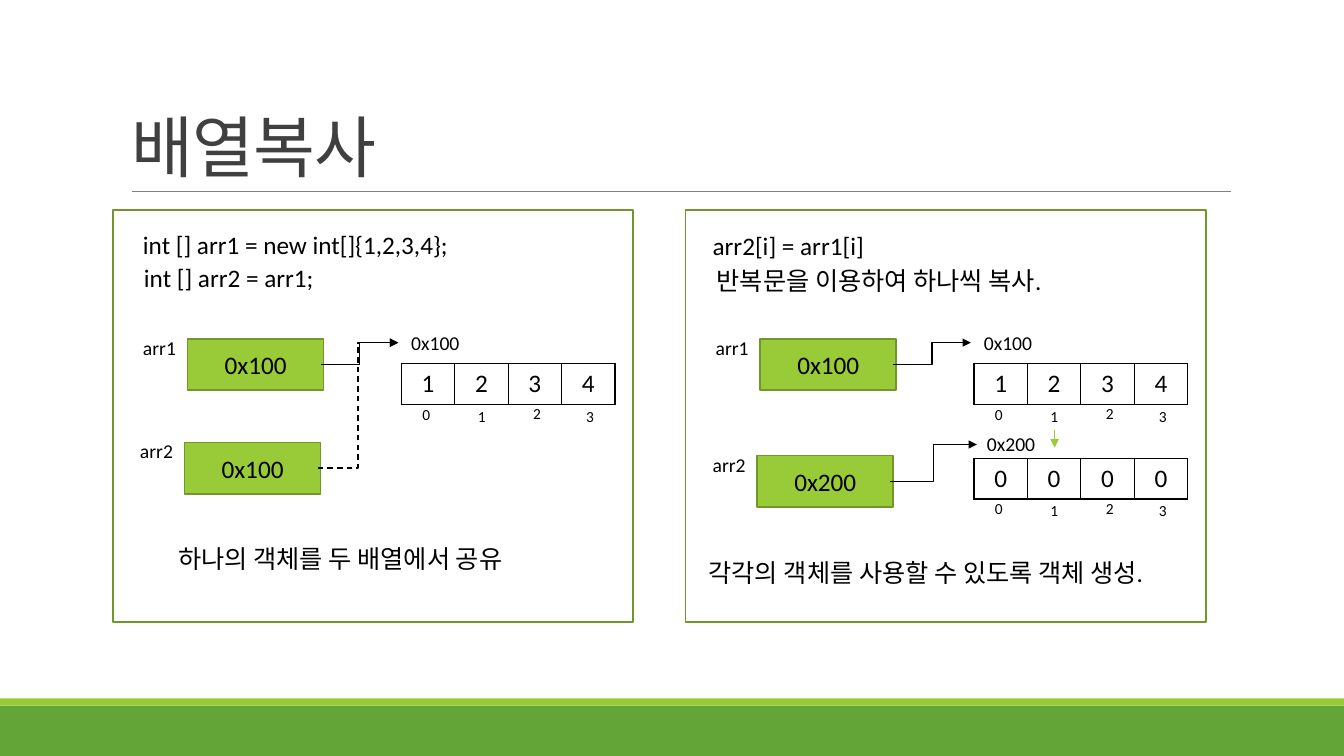
from lxml import etree
from pptx import Presentation
from pptx import util as u
from pptx.dml.color import RGBColor
from pptx.enum import dml, shapes, text
from pptx.oxml import ns

COLORS = {"band": "63A537", "lime": "99CB38", "edge": "719629",
          "rule": "808080", "title": "404040", "ink": "000000"}
FONT = "Calibri"
COLUMNS, ROWS = 133.3, 75
PANEL_STEP = 56.8
CELL_WIDTH, CELL_HEIGHT = 5.3, 4

presentation = Presentation()
presentation.slide_width, presentation.slide_height = u.Inches(13.33), u.Inches(7.5)
column = presentation.slide_width / COLUMNS
row = presentation.slide_height / ROWS
slide = presentation.slides.add_slide(presentation.slide_layouts[5])


def add_box(left, top, width, height, words="", size=18, fill=None, edge=None, wrap=True):
    """Add a rectangle if it has a fill or an edge, otherwise a text box."""
    place = [round(left * column), round(top * row), round(width * column), round(height * row)]
    if fill or edge:
        shape = slide.shapes.add_shape(shapes.MSO_SHAPE.RECTANGLE, *place)
        shape.shadow.inherit = False
        for part, color in ((shape.fill, fill), (shape.line.fill, edge)):
            if color:
                part.solid()
                part.fore_color.rgb = RGBColor.from_string(COLORS[color])
            else:
                part.background()
        if edge:
            shape.line.width = u.Pt(1.25)
    else:
        shape = slide.shapes.add_textbox(*place)
        shape.text_frame.auto_size = text.MSO_AUTO_SIZE.SHAPE_TO_FIT_TEXT
    shape.text_frame.word_wrap = wrap
    if words:
        paragraph = shape.text_frame.paragraphs[0]
        paragraph.text = words
        for name, value in {"name": FONT, "size": u.Pt(size)}.items():
            setattr(paragraph.font, name, value)
        paragraph.font.color.rgb = RGBColor.from_string(COLORS["ink"])


def add_line(start, end, color="ink", kind="ELBOW", width=1, dashed=False, arrow=True):
    """Draw a connector between two grid points, with an arrowhead at its end."""
    connector = slide.shapes.add_connector(
        shapes.MSO_CONNECTOR[kind], round(start[0] * column), round(start[1] * row),
        round(end[0] * column), round(end[1] * row))
    connector.line.color.rgb = RGBColor.from_string(COLORS[color])
    connector.line.width = u.Pt(width)
    if dashed:
        connector.line.dash_style = dml.MSO_LINE.DASH
    if arrow:
        etree.SubElement(connector.line._get_or_add_ln(), ns.qn("a:tailEnd"), type="triangle")
    etree.SubElement(connector._element.spPr, ns.qn("a:effectLst"))


# Bands, rule and title
add_box(0, 70, COLUMNS, 5, fill="band")
add_box(0, 69.3, COLUMNS, 0.7, fill="lime")
add_line((13.1, 19), (122.1, 19), "rule", "STRAIGHT", 0.5, arrow=False)

title = slide.shapes.title
title_format = {"left": 12 * column, "top": 3.1 * row, "width": 110 * column, "height": 15.9 * row}
for name, value in title_format.items():
    setattr(title, name, round(value))
title.text_frame.auto_size = text.MSO_AUTO_SIZE.NONE
title.text_frame.vertical_anchor = text.MSO_ANCHOR.BOTTOM
paragraph = title.text_frame.paragraphs[0]
paragraph.alignment, paragraph.line_spacing = text.PP_ALIGN.LEFT, 0.85
run = paragraph.add_run()
run.text = "배열복사"
for name, value in {"name": FONT, "size": u.Pt(48)}.items():
    setattr(run.font, name, value)
run.font.color.rgb = RGBColor.from_string(COLORS["title"])
run._r.get_or_add_rPr().set("spc", "-50")

# Panels
for panel in range(2):
    add_box(11.2 + panel * PANEL_STEP, 20.8, 51.6, 40.9, edge="edge")

# Code and captions
for left, top, width, words in [
        (13.2, 22.3, 32.6, "int [] arr1 = new int[]{1,2,3,4};"),
        (13.3, 25.5, 19, "int [] arr2 = arr1;"),
        (16.7, 53.4, 37.2, "하나의 객체를 두 배열에서 공유"),
        (69.7, 22.4, 17.4, "arr2[i] = arr1[i]"),
        (70.1, 25.8, 37.2, "반복문을 이용하여 하나씩 복사."),
        (69.3, 54.8, 49, "각각의 객체를 사용할 수 있도록 객체 생성.")]:
    add_box(left, top, width, 4, words, wrap=False)

# Variables, each pointing at the address of its array
for panel, left, top, name, address, target, dashed in [
        (0, 18.6, 33.6, "arr1", "0x100", (39.5, 34), False),
        (0, 18.3, 43.9, "arr2", "0x100", (39.5, 34), True),
        (1, 18.6, 33.6, "arr1", "0x100", (39.5, 34), False),
        (1, 18.3, 45.2, "arr2", "0x200", (40.1, 44.1), False)]:
    shift = panel * PANEL_STEP
    add_box(left + shift, top, 13.5, 5.1, address, fill="lime", edge="edge")
    add_box(left - 5.4 + shift, top - 0.8, 6.6, 3.4, name, 14)
    add_line((left + 13.2 + shift, top + 2.55), (target[0] + shift, target[1]), dashed=dashed)

# Arrays with their addresses and indices
for panel, top, values, address, label_left, label_top in [
        (0, 36.1, "1234", "0x100", 39.8, 32.3),
        (1, 36.1, "1234", "0x100", 39.8, 32.3),
        (1, 45.5, "0000", "0x200", 40.1, 42.4)]:
    left = 39.8 + panel * PANEL_STEP
    add_box(label_left + panel * PANEL_STEP, label_top, 9.4, 3.4, address, 14)
    table = slide.shapes.add_table(
        1, len(values), round(left * column), round(top * row),
        round(len(values) * CELL_WIDTH * column), round(CELL_HEIGHT * row)).table
    table.first_row = table.horz_banding = False
    for index, value in enumerate(values):
        cell = table.cell(0, index)
        cell.text = value
        cell.vertical_anchor = text.MSO_ANCHOR.MIDDLE
        paragraph = cell.text_frame.paragraphs[0]
        paragraph.alignment = text.PP_ALIGN.CENTER
        for name, setting in {"name": FONT, "size": u.Pt(18)}.items():
            setattr(paragraph.font, name, setting)
        paragraph.font.color.rgb = RGBColor.from_string(COLORS["ink"])
        properties = cell._tc.get_or_add_tcPr()
        for side in ("lnL", "lnR", "lnT", "lnB"):
            border = etree.SubElement(properties, ns.qn("a:" + side), w=str(u.Pt(1)))
            solid = etree.SubElement(border, ns.qn("a:solidFill"))
            etree.SubElement(solid, ns.qn("a:srgbClr"), val=COLORS["ink"])
        cell.fill.background()
    for index, (across, down) in enumerate([(1.1, 3.55), (6.6, 3.75), (12.1, 3.5), (17.35, 3.75)]):
        add_box(left + across, top + down, 2.8, 2.9, str(index), 11, wrap=False)

# Copy of one element
add_line((104.6, 42.7), (104.6, 44.4), "lime", "STRAIGHT")

presentation.save("out.pptx")
